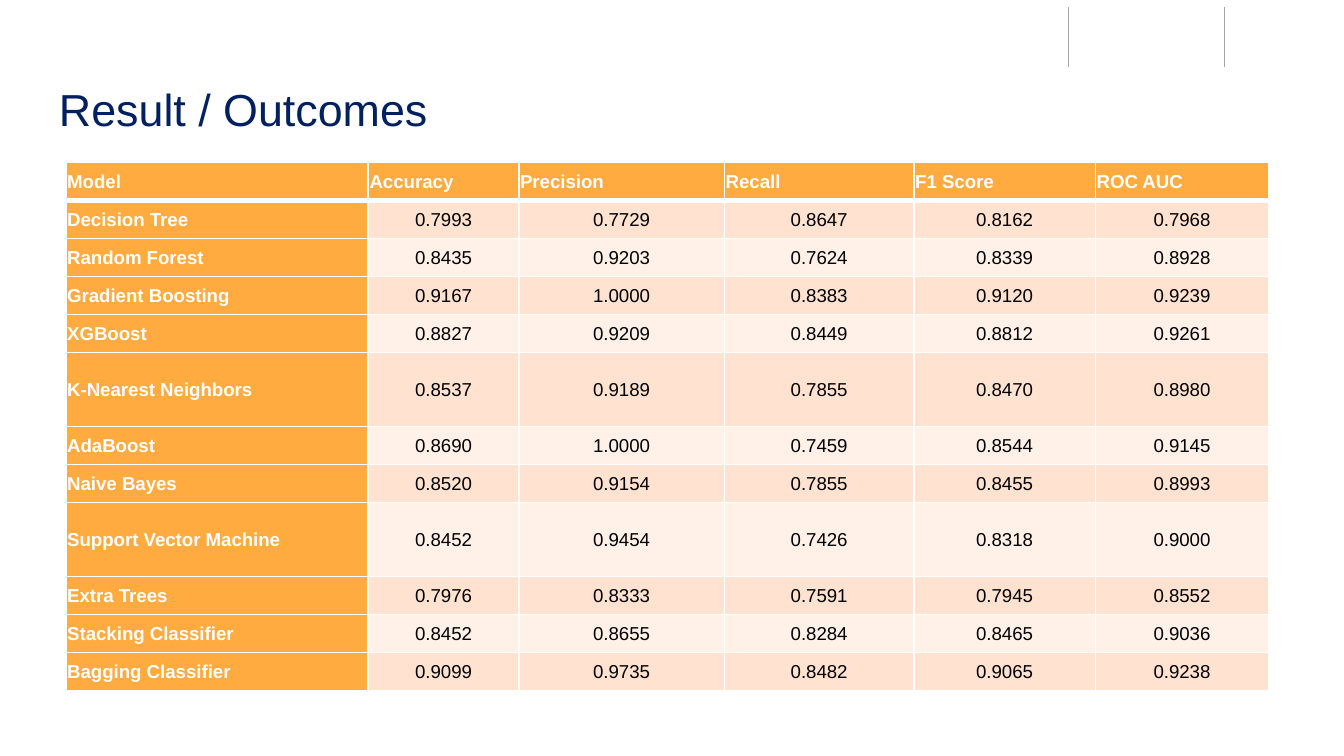
from typing import NamedTuple

from pptx import Presentation
from pptx.dml.color import RGBColor
from pptx.enum.shapes import MSO_CONNECTOR
from pptx.enum.text import MSO_ANCHOR, PP_ALIGN
from pptx.oxml.ns import qn
from pptx.slide import Slide
from pptx.table import _Cell
from pptx.text.text import _Paragraph
from pptx.util import Pt
from lxml import etree

LINE = MSO_CONNECTOR.STRAIGHT
MIDDLE = MSO_ANCHOR.MIDDLE
LEFT, CENTER = PP_ALIGN.LEFT, PP_ALIGN.CENTER

FONT = "Arial"
COLORS = {
    "title": "002060",
    "rule": "A6A6A6",
    "head": "FFAB40",
    "odd": "FFE2CF",
    "even": "FFF1E8",
    "white": "FFFFFF",
    "black": "000000",
}


class Rule(NamedTuple):
    x: float
    top: float = 3.6
    end: float = 36


class Score(NamedTuple):
    model: str
    marks: str
    height: float = 20.36


class Look(NamedTuple):
    fill: str
    ink: str
    bold: bool
    align: PP_ALIGN


RULES = [Rule(572.4), Rule(655.92)]
HEADS = ["Model", "Accuracy", "Precision", "Recall", "F1 Score", "ROC AUC"]
WIDTHS = [162, 80.64, 110.16, 101.52, 97.2, 92.88]
ROW = 20.36
TALL = 39.64
SCORES = [
    Score("Decision Tree", "0.7993 0.7729 0.8647 0.8162 0.7968"),
    Score("Random Forest", "0.8435 0.9203 0.7624 0.8339 0.8928"),
    Score("Gradient Boosting", "0.9167 1.0000 0.8383 0.9120 0.9239"),
    Score("XGBoost", "0.8827 0.9209 0.8449 0.8812 0.9261"),
    Score("K-Nearest Neighbors", "0.8537 0.9189 0.7855 0.8470 0.8980", TALL),
    Score("AdaBoost", "0.8690 1.0000 0.7459 0.8544 0.9145"),
    Score("Naive Bayes", "0.8520 0.9154 0.7855 0.8455 0.8993"),
    Score("Support Vector Machine", "0.8452 0.9454 0.7426 0.8318 0.9000", TALL),
    Score("Extra Trees", "0.7976 0.8333 0.7591 0.7945 0.8552"),
    Score("Stacking Classifier", "0.8452 0.8655 0.8284 0.8465 0.9036"),
    Score("Bagging Classifier", "0.9099 0.9735 0.8482 0.9065 0.9238"),
]
LABEL = Look("head", "white", True, LEFT)
BANDS = [Look(name, "black", False, CENTER) for name in ("even", "odd")]


def color(name: str) -> RGBColor:
    return RGBColor.from_string(COLORS[name])


def style(para: _Paragraph, size: float, ink: str, bold: bool) -> None:
    for run in para.runs:
        run.font.name = FONT
        run.font.size = Pt(size)
        run.font.bold = bold
        run.font.color.rgb = color(ink)


def draw_rule(slide: Slide, rule: Rule) -> None:
    line = slide.shapes.add_connector(
        LINE, Pt(rule.x), Pt(rule.top), Pt(rule.x), Pt(rule.end)
    )
    line.line.color.rgb = color("rule")
    line.line.width = Pt(0.75)
    etree.SubElement(line._element.spPr, qn("a:effectLst"))


def draw_title(slide: Slide, text: str) -> None:
    box = slide.shapes.add_textbox(Pt(24.48), Pt(35.28), Pt(671.04), Pt(45.36))
    frame = box.text_frame
    frame.word_wrap = True
    frame.vertical_anchor = MIDDLE
    frame.margin_left = frame.margin_right = Pt(7.2)
    frame.margin_top = frame.margin_bottom = Pt(7.2)
    frame.text = text
    style(frame.paragraphs[0], 24, "title", False)


def set_edge(cell: _Cell, side: str, width: float) -> None:
    props = cell._tc.get_or_add_tcPr()
    edge = etree.SubElement(props, qn(f"a:ln{side}"), w=str(Pt(width)))
    fill = etree.SubElement(edge, qn("a:solidFill"))
    etree.SubElement(fill, qn("a:srgbClr"), val=COLORS["white"])


def fill_cell(cell: _Cell, text: str, look: Look, top: float, base: float) -> None:
    for side, width in zip("LRTB", (1, 1, top, base)):
        set_edge(cell, side, width)
    cell.fill.solid()
    cell.fill.fore_color.rgb = color(look.fill)
    cell.vertical_anchor = MIDDLE
    cell.margin_left = cell.margin_right = Pt(0.72)
    cell.margin_top = cell.margin_bottom = Pt(0.72)
    cell.text_frame.text = text
    para = cell.text_frame.paragraphs[0]
    para.alignment = look.align
    para.line_spacing = 1.04
    para.space_after = Pt(1.6)
    props = para._p.get_or_add_pPr()
    props.set("marL", str(Pt(0.5)))
    props.set("indent", str(Pt(-0.5)))
    style(para, 10, look.ink, look.bold)


def draw_table(slide: Slide) -> None:
    rows = [HEADS] + [[score.model, *score.marks.split()] for score in SCORES]
    sizes = [ROW] + [score.height for score in SCORES]
    table = slide.shapes.add_table(
        len(rows), len(HEADS), Pt(35.28), Pt(87.12), Pt(sum(WIDTHS)), Pt(sum(sizes))
    ).table
    for col, width in zip(table.columns, WIDTHS):
        col.width = Pt(width)
    for row, height in zip(table.rows, sizes):
        row.height = Pt(height)
    for r, texts in enumerate(rows):
        top, base = (3 if r == 1 else 1), (3 if r == 0 else 1)
        for c, text in enumerate(texts):
            look = LABEL if r == 0 or c == 0 else BANDS[r % 2]
            fill_cell(table.cell(r, c), text, look, top, base)


def main() -> None:
    deck = Presentation()
    deck.slide_width, deck.slide_height = Pt(720), Pt(405)
    slide = deck.slides.add_slide(deck.slide_layouts[6])
    for rule in RULES:
        draw_rule(slide, rule)
    draw_title(slide, "Result / Outcomes")
    draw_table(slide)
    deck.save("out.pptx")


if __name__ == "__main__":
    main()
